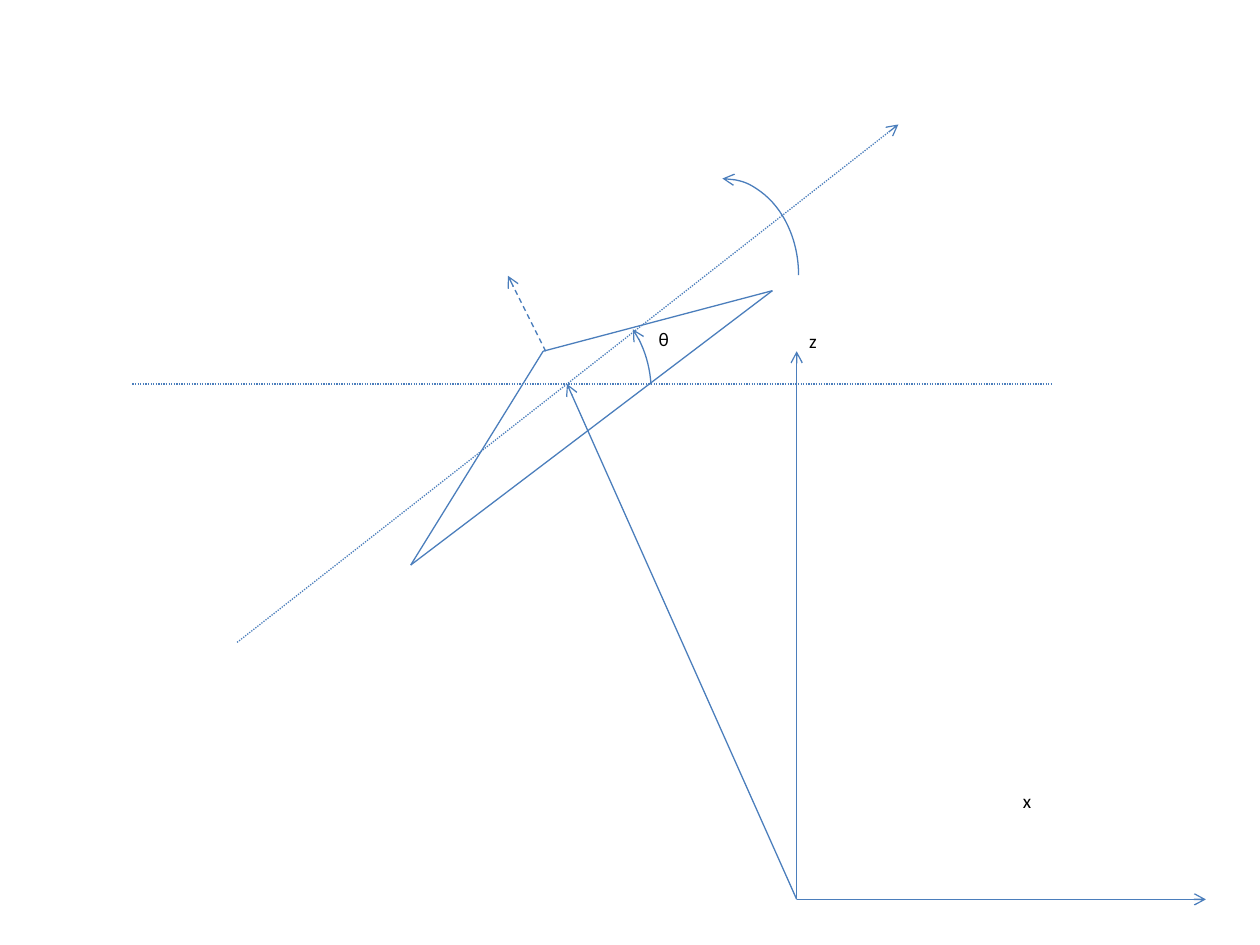
import pptx
import pptx.util
from lxml import etree
from pptx.dml.color import RGBColor
from pptx.enum.dml import MSO_LINE
from pptx.enum.shapes import MSO_CONNECTOR, MSO_SHAPE
from pptx.enum.text import MSO_AUTO_SIZE
from pptx.oxml.ns import qn

Cm, Pt = pptx.util.Cm, pptx.util.Pt
COLORS = {"line": "4B7EBC", "text": "000000"}


def format_line(sp, dash=None, arrow=None):
    """Style an outline; arrow is 'headEnd', 'tailEnd' or None."""
    sp.line.color.rgb = RGBColor.from_string(COLORS["line"])
    sp.line.width = Pt(0.75)
    if dash:
        sp.line.dash_style = dash
    if arrow:
        ln = sp._element.spPr.find(qn("a:ln"))
        etree.SubElement(ln, qn("a:" + arrow), type="arrow")


def add_line(s, box, start, end, dash=None, arrow=None):
    left, top = box
    cxn = s.shapes.add_connector(
        MSO_CONNECTOR.STRAIGHT,
        Cm(left + start[0]), Cm(top + start[1]),
        Cm(left + end[0]), Cm(top + end[1]))
    format_line(cxn, dash, arrow)
    etree.SubElement(cxn._element.spPr, qn("a:effectLst"))


def add_rotation_arc(s, box, x, y, angles=None):
    left, top = box
    sp = s.shapes.add_shape(MSO_SHAPE.ARC, Cm(left + x), Cm(top + y),
                            Cm(3.07), Cm(3.89))
    sp.shadow.inherit = False
    sp.fill.background()
    if angles:
        sp.adjustments[0], sp.adjustments[1] = angles
    format_line(sp, arrow="headEnd")


def add_label(s, box, text, *, x, y, w=0.81, h=1.12, size=11,
              font="Calibri", color="text"):
    left, top = box
    tf = s.shapes.add_textbox(Cm(left + x), Cm(top + y), Cm(w), Cm(h)).text_frame
    tf.word_wrap = False
    tf.auto_size = MSO_AUTO_SIZE.SHAPE_TO_FIT_TEXT
    r = tf.paragraphs[0].add_run()
    r.text = text
    r.font.name = font
    r.font.size = Pt(size)
    r.font.color.rgb = RGBColor.from_string(COLORS[color])


def draw_axes(s, box, origin, center):
    """Draw the x and z axes and the position vector to the body center."""
    for tip in ((origin[0], 4.57), (21.64, origin[1]), center):
        add_line(s, box, origin, tip, arrow="tailEnd")
    add_label(s, box, "x", x=17.7, y=13.28, w=0.69, h=0.74)
    add_label(s, box, "z", x=origin[0], y=4.01)


def draw_body(s, box, center):
    """Draw the triangular body, its heading, normal and the horizon."""
    apex, tail, nose = corners = ((8.28, 4.57), (5.61, 8.88), (12.9, 3.35))
    for start, end in zip(corners, (tail, nose, apex)):
        add_line(s, box, start, end)
    add_line(s, box, (2.11, 10.44), (15.44, 0), MSO_LINE.ROUND_DOT, "tailEnd")
    add_line(s, box, (0, center[1]), (18.52, center[1]), MSO_LINE.ROUND_DOT)
    add_line(s, box, (8.33, 4.57), (7.57, 3.05), MSO_LINE.DASH, "tailEnd")


def draw_rotation(s, box):
    add_label(s, box, "θ", x=10.36, y=3.96, w=0.86)
    add_rotation_arc(s, box, 10.36, 1.09)
    # adjustments hold 60000ths of a degree divided by 100000
    add_rotation_arc(s, box, 7.39, 3.45, (312.61 * 0.6, 354.32 * 0.6))


def main():
    prs = pptx.Presentation()
    prs.slide_width, prs.slide_height = Cm(25.4), Cm(19.05)
    s = prs.slides.add_slide(prs.slide_layouts[6])
    box = (2.67, 2.51)
    center = (8.76, 5.23)
    draw_axes(s, box, (13.39, 15.62), center)
    draw_body(s, box, center)
    draw_rotation(s, box)
    prs.save("out.pptx")


if __name__ == "__main__":
    main()
